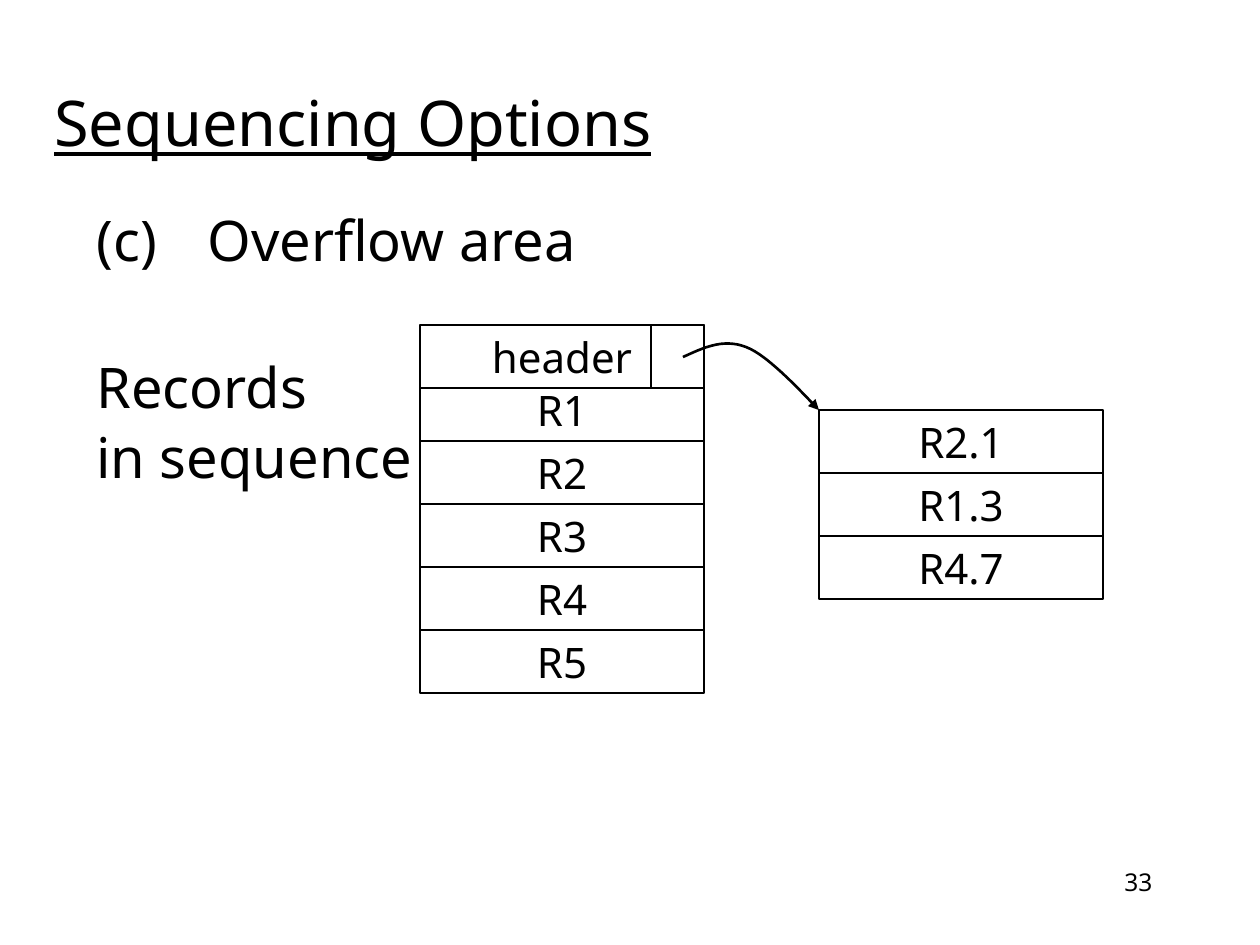
from lxml import etree
from pptx import Presentation, util as u
from pptx.dml.color import RGBColor
from pptx.enum import shapes, text
from pptx.oxml.ns import qn

SCALE = 914400 / 126
BLACK, WHITE = "000000", "FFFFFF"
ROW_WIDTH, ROW_HEIGHT = 284, 63


def px(length):
    """Turn pixels into EMU."""
    return u.Emu(round(length * SCALE))


def color(value):
    """Turn a hex string into a colour."""
    return RGBColor.from_string(value)


def apply(target, formats):
    """Set each format value on the target."""
    for name, value in formats.items():
        setattr(target, name, value)


def write(paragraph, wording, size, underline=None):
    """Put one styled run into a paragraph."""
    run = paragraph.add_run()
    run.text = wording
    apply(run.font, {"name": "Noto Sans", "size": u.Pt(size), "underline": underline})
    run.font.color.rgb = color(BLACK)


def label(slide, box, lines, size, align=text.PP_ALIGN.LEFT,
          anchor=text.MSO_ANCHOR.TOP, underline=None, indent=0):
    """Place lines of text, each given as wording and space before."""
    frame = slide.shapes.add_textbox(*map(px, box)).text_frame
    apply(frame, {"word_wrap": True, "vertical_anchor": anchor})
    for number, (wording, before) in enumerate(lines):
        paragraph = frame.add_paragraph() if number else frame.paragraphs[0]
        apply(paragraph, {"alignment": align, "space_before": u.Pt(before)})
        if indent:
            properties = paragraph._p.get_or_add_pPr()
            properties.set("marL", str(px(indent)))
            properties.set("indent", str(-px(indent)))
        write(paragraph, wording, size, underline)


def cell(slide, box, wording=""):
    """Draw one outlined cell with centred wording."""
    record = slide.shapes.add_shape(shapes.MSO_SHAPE.RECTANGLE, *map(px, box))
    record.shadow.inherit = False
    record.fill.solid()
    record.fill.fore_color.rgb = color(WHITE)
    record.line.color.rgb = color(BLACK)
    record.line.width = u.Pt(0.75)
    frame = record.text_frame
    apply(frame, {"word_wrap": False, "vertical_anchor": text.MSO_ANCHOR.MIDDLE})
    frame.paragraphs[0].alignment = text.PP_ALIGN.CENTER
    if wording:
        write(frame.paragraphs[0], wording, 24)


def block(slide, left, top, records):
    """Stack equal record cells downwards from a corner."""
    for row, record in enumerate(records):
        cell(slide, (left, top + row * ROW_HEIGHT, ROW_WIDTH, ROW_HEIGHT), record)


def sequence(slide, left, top):
    """Draw the main block with its header and pointer cell."""
    block(slide, left, top + 53, ["R1", "R2", "R3", "R4", "R5"])
    block(slide, left, top, ["header"])
    cell(slide, (left + 231, top, ROW_WIDTH - 231, ROW_HEIGHT))


def bezier(points, steps=16):
    """Return points along a cubic curve, without its start."""
    weights = [((1 - t) ** 3, 3 * t * (1 - t) ** 2, 3 * t * t * (1 - t), t ** 3)
               for t in (step / steps for step in range(1, steps + 1))]
    return [tuple(px(sum(w * p[axis] for w, p in zip(weight, points)))
                  for axis in (0, 1)) for weight in weights]


def pointer(slide, left, top):
    """Draw the curved arrow from the header to the overflow area."""
    offsets = [(0, 0), (20, -9), (40, -19), (63, -10), (86, -2), (126, 43), (136, 53)]
    track = [(left + x, top + y) for x, y in offsets]
    builder = slide.shapes.build_freeform(px(left), px(top))
    builder.add_line_segments(bezier(track[:4]) + bezier(track[3:]), close=False)
    arrow = builder.convert_to_shape()
    arrow.shadow.inherit = False
    arrow.fill.background()
    arrow.line.color.rgb = color(BLACK)
    arrow.line.width = u.Pt(1.5)
    etree.SubElement(arrow.line._get_or_add_ln(), qn("a:tailEnd"), type="triangle")


def build():
    """Build the slide and save it."""
    deck = Presentation()
    apply(deck, {"slide_width": px(1260), "slide_height": px(945)})
    slide = deck.slides.add_slide(deck.slide_layouts[6])
    label(slide, (903, 861, 262, 63), [("33", 0)], 14, text.PP_ALIGN.RIGHT)
    body = [("(c)\tOverflow area", 0), ("Records", 46), ("in sequence", 1.3)]
    label(slide, (84, 199, 1071, 567), body, 32, indent=48)
    label(slide, (42, 53, 1071, 136), [("Sequencing Options", 0)], 36,
          anchor=text.MSO_ANCHOR.MIDDLE, underline=True)
    sequence(slide, 420, 325)
    block(slide, 819, 410, ["R2.1", "R1.3", "R4.7"])
    pointer(slide, 683, 357)
    deck.save("out.pptx")


build()
